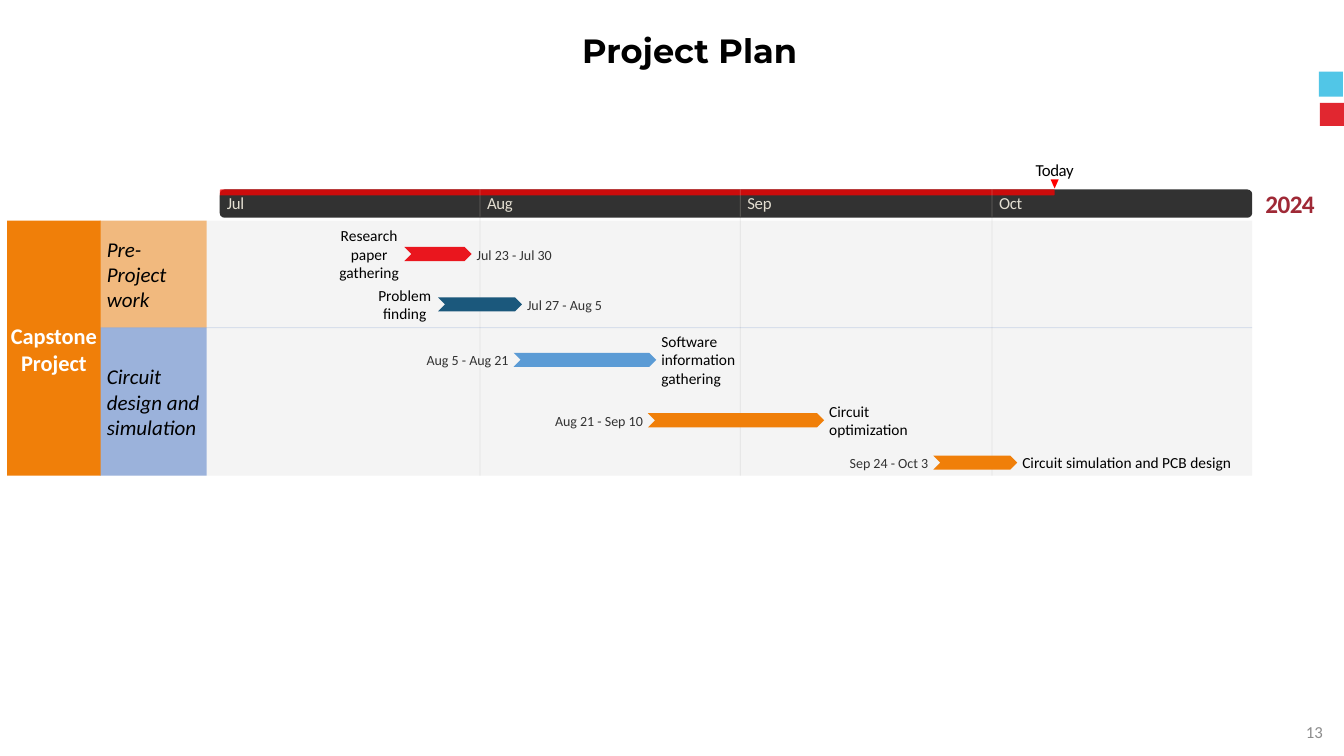
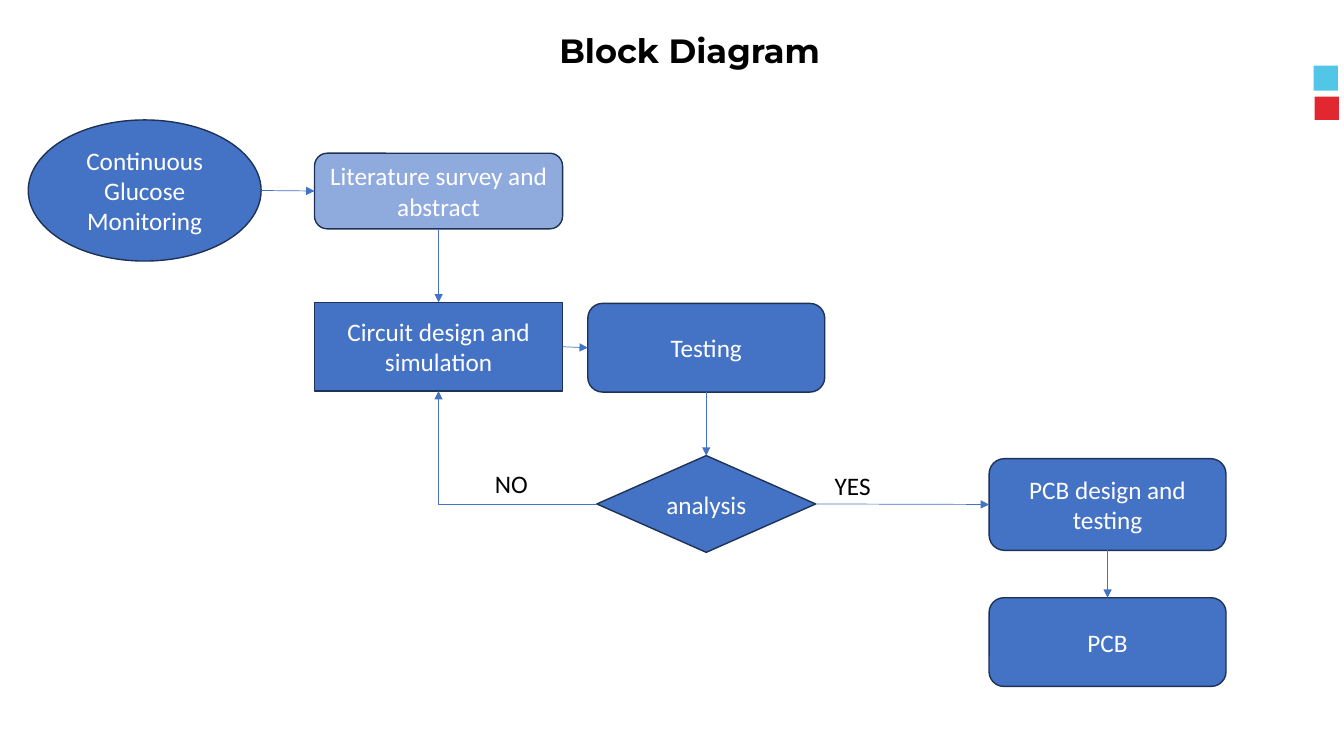
from pptx import Presentation
from pptx.dml.color import RGBColor
from pptx.enum.shapes import MSO_CONNECTOR as CXN, MSO_SHAPE as SHP
from pptx.enum.text import MSO_ANCHOR as ANC, MSO_AUTO_SIZE as FIT, PP_ALIGN as AL
from pptx.oxml.ns import qn
from pptx.util import Inches, Pt
from lxml.etree import SubElement

BLACK, WHITE, DARK, CREAM = "000000", "FFFFFF", "323232", "E3DED1"
BLUE, NAVY, PALE_BLUE, ORANGE = "4472C4", "1E3256", "8FAADC", "F07F09"
RED, SKY, GREY, BURGUNDY = "E12730", "51C6E7", "8C8C8C", "9F2936"
SCARLET, PANEL = "FF0000", "C8C8C8"
TOP, LEFT, BOTTOM, RIGHT = range(4)
ELLIPSE_RIGHT = 6


def rgb(value):
    return RGBColor.from_string(value)


def set_alpha(parent, percent):
    if percent < 100:
        color = parent.find(qn("a:solidFill"))[0]
        SubElement(color, qn("a:alpha")).set("val", str(percent * 1000))


class Deck:
    body_font, title_font = "Calibri", "Montserrat"

    def __init__(self):
        self.prs = Presentation()
        self.prs.slide_width, self.prs.slide_height = Inches(13.33), Inches(7.5)
        self.s = None

    def slide(self, title, mark_x, mark_y):
        self.s = self.prs.slides.add_slide(self.prs.slide_layouts[5])
        sp = self.s.shapes.title
        sp.left, sp.top, sp.width, sp.height = map(Inches, (1.09, 0.25, 11.5, 0.54))
        self.set_text(sp, title, 24, BLACK, AL.CENTER, ANC.TOP, bold=True, font=self.title_font)
        group = self.s.shapes.add_group_shape()
        self.shape(SHP.RECTANGLE, mark_x + 0.01, mark_y + 0.31, 0.24, 0.23, RED, shapes=group.shapes)
        self.shape(SHP.RECTANGLE, mark_x, mark_y, 0.24, 0.25, SKY, shapes=group.shapes)

    def set_text(self, sp, text, size, color, align=AL.LEFT, anchor=ANC.MIDDLE,
                 bold=False, italic=False, font=None, spacing=0):
        tf = sp.text_frame
        tf.text = text
        tf.word_wrap, tf.auto_size, tf.vertical_anchor = True, FIT.NONE, anchor
        p = tf.paragraphs[0]
        p.alignment = align
        for r in p.runs:
            r.font.name, r.font.size = font or self.body_font, Pt(size)
            r.font.bold, r.font.italic = bold, italic
            r.font.color.rgb = rgb(color)
        if spacing:
            for rPr in sp.element.iter(qn("a:rPr")):
                rPr.set("spc", str(round(spacing * 100)))

    def text(self, x, y, w, h, text, size, color=BLACK, align=AL.LEFT, inset=0, **style):
        sp = self.s.shapes.add_textbox(*map(Inches, (x, y, w, h)))
        tf = sp.text_frame
        tf.margin_left = tf.margin_right = Inches(inset)
        tf.margin_top = tf.margin_bottom = Inches(inset / 2)
        self.set_text(sp, text, size, color, align, **style)

    def shape(self, kind, x, y, w, h, fill, alpha=100, shapes=None):
        sp = (shapes or self.s.shapes).add_shape(kind, *map(Inches, (x, y, w, h)))
        sp.shadow.inherit = False
        sp.fill.solid()
        sp.fill.fore_color.rgb = rgb(fill)
        set_alpha(sp.element.spPr, alpha)
        sp.line.fill.background()
        return sp

    def line(self, x1, y1, x2, y2, color, width=0.6, alpha=100, kind=CXN.STRAIGHT):
        cx = self.s.shapes.add_connector(kind, *map(Inches, (x1, y1, x2, y2)))
        cx.line.color.rgb = rgb(color)
        cx.line.width = Pt(width)
        spPr = cx.element.spPr
        set_alpha(spPr.find(qn("a:ln")), alpha)
        SubElement(spPr, qn("a:effectLst"))
        return cx

    def node(self, kind, x, y, w, h, text, fill=BLUE):
        sp = self.shape(kind, x, y, w, h, fill)
        sp.line.color.rgb = rgb(NAVY)
        sp.line.width = Pt(1)
        self.set_text(sp, text, 18, WHITE, AL.CENTER)
        return sp

    def arrow(self, start, side1, end, side2, kind=CXN.STRAIGHT):
        cx = self.line(0, 0, 1, 1, BLUE, 0.5, kind=kind)
        cx.begin_connect(start, side1)
        cx.end_connect(end, side2)
        spPr = cx.element.spPr
        SubElement(spPr.find(qn("a:ln")), qn("a:tailEnd")).set("type", "triangle")
        if kind == CXN.ELBOW:
            spPr.find(qn("a:prstGeom")).set("prst", "bentConnector2")
        return cx


MONTHS = {"Jul": 0, "Aug": 31, "Sep": 62, "Oct": 92}
AXIS_X, AXIS_Y, AXIS_W, AXIS_H, DAYS = 2.18, 1.88, 10.24, 0.28, 123
BAND_X, BAND_W, CHART_BOTTOM, GAP = 0.99, 11.43, 4.72, 0.05
PHASES = [
    ("Pre-Project work", 2.19, 1.06, ORANGE),
    ("Circuit design and simulation", 3.25, 1.47, BLUE),
]
TASKS = [
    ("Research paper gathering", "Jul 23", "Jul 30", 2.52, "EA161E", 0.6, AL.CENTER),
    ("Problem finding", "Jul 27", "Aug 5", 3.02, "1B587C", 0.56, AL.CENTER),
    ("Software information gathering", "Aug 5", "Aug 21", 3.57, "5B9BD5", 0.75, AL.LEFT),
    ("Circuit optimization", "Aug 21", "Sep 10", 4.17, ORANGE, 0.97, AL.LEFT),
    ("Circuit simulation and PCB design", "Sep 24", "Oct 3", 4.59, ORANGE, 2.21, AL.LEFT),
]


def day_x(day):
    return AXIS_X + AXIS_W * day / DAYS


def day_number(date):
    month, day = date.split()
    return MONTHS[month] + int(day) - 1


def add_task(d, name, start, end, mid, color, name_w, align):
    x1, x2 = day_x(day_number(start)), day_x(day_number(end) + 1)
    d.shape(SHP.CHEVRON, x1, mid - 0.07, x2 - x1, 0.14, color)
    date_w, name_h = 0.95, 0.56
    if align == AL.CENTER:
        name_x, date_x, date_align = x1 - GAP - name_w, x2 + GAP, AL.LEFT
    else:
        name_x, date_x, date_align = x2 + GAP, x1 - GAP - date_w, AL.RIGHT
    d.text(name_x, mid - name_h / 2, name_w, name_h, name, 11, align=align)
    d.text(date_x, mid - 0.08, date_w, 0.17, f"{start} - {end}", 10, DARK, date_align)


def project_plan(d):
    d.slide("Project Plan", 13.08, 0.71)
    d.text(10.22, 7.06, 3, 0.4, "13", 12, GREY, AL.RIGHT, inset=0.1)
    for name, y, h, color in PHASES:
        d.shape(SHP.RECTANGLE, BAND_X, y, BAND_W, h, PANEL, 20)
        d.shape(SHP.RECTANGLE, BAND_X, y, 1.06, h, color, 50)
        d.text(BAND_X + 0.07, y, 0.92, h, name, 15, italic=True)
    d.line(BAND_X, 3.25, BAND_X + BAND_W, 3.25, BLUE, alpha=15)
    d.shape(SHP.RECTANGLE, 0.07, 2.19, 0.93, 2.53, ORANGE)
    d.text(0.07, 3.19, 0.93, 0.54, "Capstone Project", 16, WHITE, AL.CENTER, bold=True)

    today_x = day_x(99.46)
    d.shape(SHP.ROUNDED_RECTANGLE, AXIS_X, AXIS_Y, AXIS_W, AXIS_H, DARK)
    d.shape(SHP.ROUNDED_RECTANGLE, AXIS_X, AXIS_Y, today_x - AXIS_X, 0.06, SCARLET, 75)
    d.shape(SHP.FLOWCHART_MERGE, today_x - 0.04, 1.78, 0.08, 0.09, SCARLET)
    d.text(today_x - 0.3, 1.58, 0.6, 0.2, "Today", 12, align=AL.CENTER, spacing=-0.3)
    d.text(12.5, 1.86, 0.59, 0.31, "2024", 18, BURGUNDY, AL.CENTER, bold=True, spacing=-0.4)
    for month, day in MONTHS.items():
        x = day_x(day)
        d.text(x + 0.07, 1.91, 0.5, 0.2, month, 12, CREAM, spacing=-0.2)
        if day:
            d.line(x, 2.15, x, CHART_BOTTOM, DARK, alpha=10)
            d.line(x, AXIS_Y, x, 2.15, CREAM, alpha=30)
    for task in TASKS:
        add_task(d, *task)


def block_diagram(d):
    d.slide("Block Diagram", 13.03, 0.65)
    box = SHP.ROUNDED_RECTANGLE
    goal = d.node(SHP.OVAL, 0.28, 1.19, 2.31, 1.4, "Continuous Glucose Monitoring")
    survey = d.node(box, 3.12, 1.52, 2.46, 0.75, "Literature survey and abstract", PALE_BLUE)
    design = d.node(SHP.RECTANGLE, 3.12, 3, 2.46, 0.88, "Circuit design and simulation")
    testing = d.node(box, 5.83, 3.01, 2.35, 0.88, "Testing")
    analysis = d.node(SHP.FLOWCHART_DECISION, 5.92, 4.52, 2.17, 0.96, "analysis")
    pcb_design = d.node(box, 9.81, 4.55, 2.35, 0.91, "PCB design and testing")
    pcb = d.node(box, 9.81, 5.93, 2.35, 0.88, "PCB")

    first = d.arrow(goal, RIGHT, survey, LEFT)
    first.element.find(".//" + qn("a:stCxn")).set("idx", str(ELLIPSE_RIGHT))
    d.arrow(survey, BOTTOM, design, TOP)
    d.arrow(design, RIGHT, testing, LEFT)
    d.arrow(testing, BOTTOM, analysis, TOP)
    d.arrow(analysis, LEFT, design, BOTTOM, CXN.ELBOW)
    d.arrow(analysis, RIGHT, pcb_design, LEFT)
    d.arrow(pcb_design, BOTTOM, pcb, TOP)
    d.text(4.81, 4.6, 0.92, 0.4, "NO", 18, inset=0.1)
    d.text(8.18, 4.62, 0.75, 0.4, "YES", 18, inset=0.1)


def main():
    d = Deck()
    project_plan(d)
    block_diagram(d)
    d.prs.save("out.pptx")


if __name__ == "__main__":
    main()
